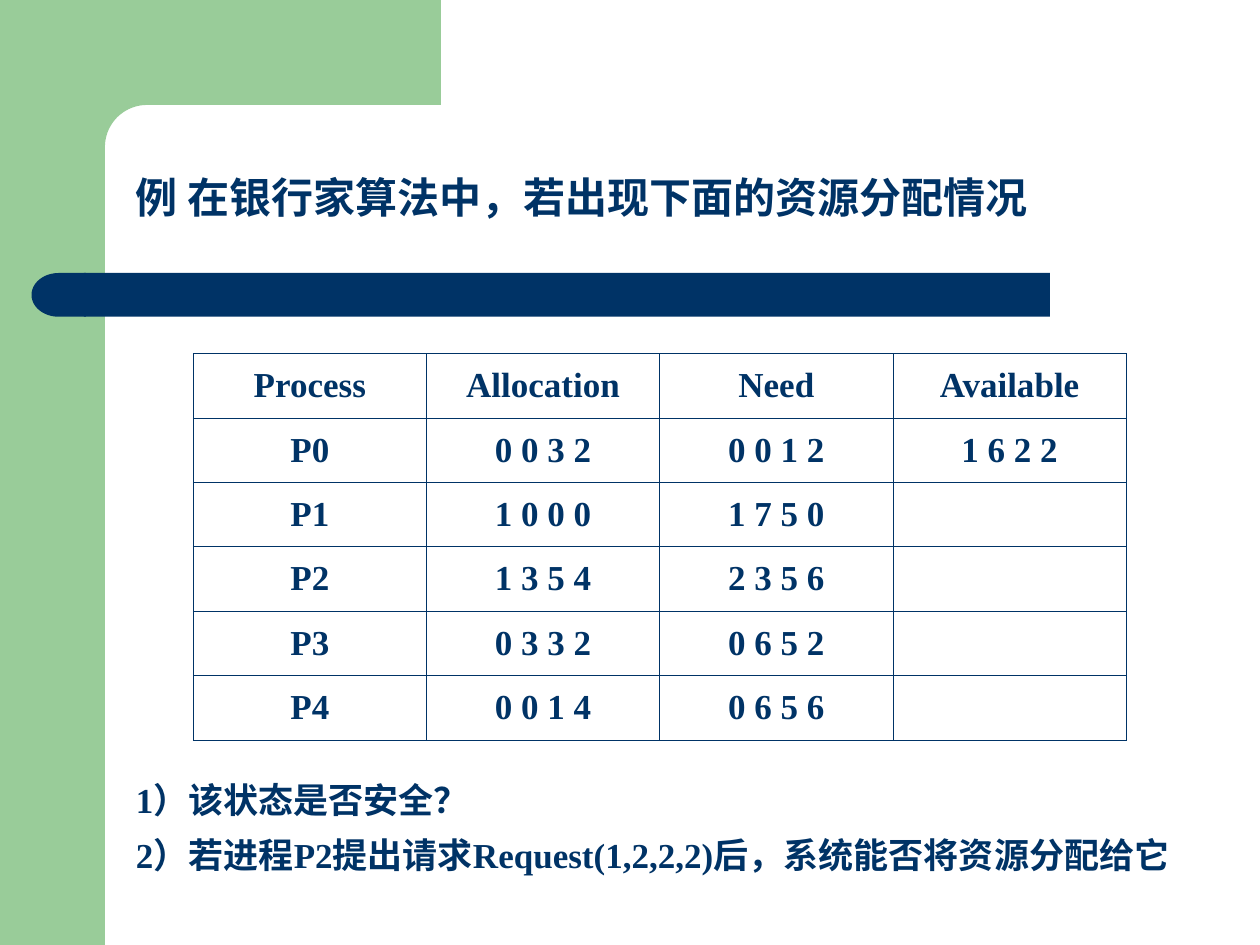
import math
from lxml import etree
from pptx import Presentation
from pptx import util as u
from pptx.dml.color import RGBColor
from pptx.enum import shapes, text
from pptx.oxml.ns import qn

Pt = u.Pt
NAVY, GREEN = "003366", "99CC99"
SERIF = "Times New Roman"


def rgb(color):
    return RGBColor.from_string(color)


def add_run(p, words, size, name=SERIF):
    r = p.add_run()
    r.text = words
    for key, value in {"size": Pt(size), "name": name, "bold": True}.items():
        setattr(r.font, key, value)
    r.font.color.rgb = rgb(NAVY)


prs = Presentation()
prs.slide_width, prs.slide_height = Pt(720), Pt(540)
s = prs.slides.add_slide(prs.slide_layouts[6])

# Green frame: side band, then top band with a rounded inner corner
band, radius = 60, 24
center = band + radius
side = s.shapes.add_shape(shapes.MSO_SHAPE.RECTANGLE, 0, 0, Pt(band), Pt(540))
arc = [(center + radius * math.cos(math.radians(a)),
        center - radius * math.sin(math.radians(a))) for a in range(90, 181, 5)]
outline = [(252, 0), (252, band), *arc, (band, 92), (36, 92)]
fb = s.shapes.build_freeform(Pt(36), 0)
fb.add_line_segments([(Pt(x), Pt(y)) for x, y in outline], close=True)
corner = fb.convert_to_shape()

# Navy bar with a round left end
bar = s.shapes.add_shape(shapes.MSO_SHAPE.ROUNDED_RECTANGLE,
                         Pt(48), Pt(156), Pt(552), Pt(25))
bar.adjustments[0] = 0
bar_end = s.shapes.add_shape(shapes.MSO_SHAPE.FLOWCHART_DELAY,
                             Pt(18), Pt(156), Pt(31), Pt(25))
bar_end.rotation = 180

for sp, color in [(side, GREEN), (corner, GREEN), (bar, NAVY), (bar_end, NAVY)]:
    sp.shadow.inherit = False
    sp.fill.solid()
    sp.fill.fore_color.rgb = rgb(color)
    sp.line.fill.background()

# Title
tf = s.shapes.add_textbox(Pt(70.6), Pt(94.4), Pt(572.4), Pt(36)).text_frame
tf.word_wrap = True
add_run(tf.paragraphs[0], "例 ", 24)
add_run(tf.paragraphs[0], "在银行家算法中，若出现下面的资源分配情况", 24, "Cabin")

# Resource table
rows = [
    ["Process", "Allocation", "Need", "Available"],
    ["P0", "0 0 3 2", "0 0 1 2", "1 6 2 2"],
    ["P1", "1 0 0 0", "1 7 5 0", ""],
    ["P2", "1 3 5 4", "2 3 5 6", ""],
    ["P3", "0 3 3 2", "0 6 5 2", ""],
    ["P4", "0 0 1 4", "0 6 5 6", ""],
]
table = s.shapes.add_table(len(rows), 4, Pt(110.4), Pt(202),
                           Pt(533.2), Pt(221.1)).table
table.first_row = table.horz_banding = False
for col in table.columns:
    col.width = Pt(133.3)
for i, row in enumerate(rows):
    table.rows[i].height = Pt(36.85)
    for j, value in enumerate(row):
        cell = table.cell(i, j)
        cell.vertical_anchor = text.MSO_ANCHOR.MIDDLE
        tcPr = cell._tc.get_or_add_tcPr()
        for edge in ("a:lnL", "a:lnR", "a:lnT", "a:lnB"):
            ln = etree.SubElement(tcPr, qn(edge), w=str(Pt(0.45)))
            fill = etree.SubElement(ln, qn("a:solidFill"))
            etree.SubElement(fill, qn("a:srgbClr"), val=NAVY)
        cell.fill.background()
        p = cell.text_frame.paragraphs[0]
        p.alignment = text.PP_ALIGN.CENTER
        if value:
            add_run(p, value, 20)

# Questions
questions = ["1）该状态是否安全？",
             "2）若进程P2提出请求Request(1,2,2,2)后，系统能否将资源分配给它"]
tf = s.shapes.add_textbox(Pt(70.6), Pt(434.2), Pt(630), Pt(70)).text_frame
tf.word_wrap = True
for i, question in enumerate(questions):
    p = tf.add_paragraph() if i else tf.paragraphs[0]
    p.line_spacing = 1.3
    add_run(p, question, 20)

prs.save("out.pptx")
